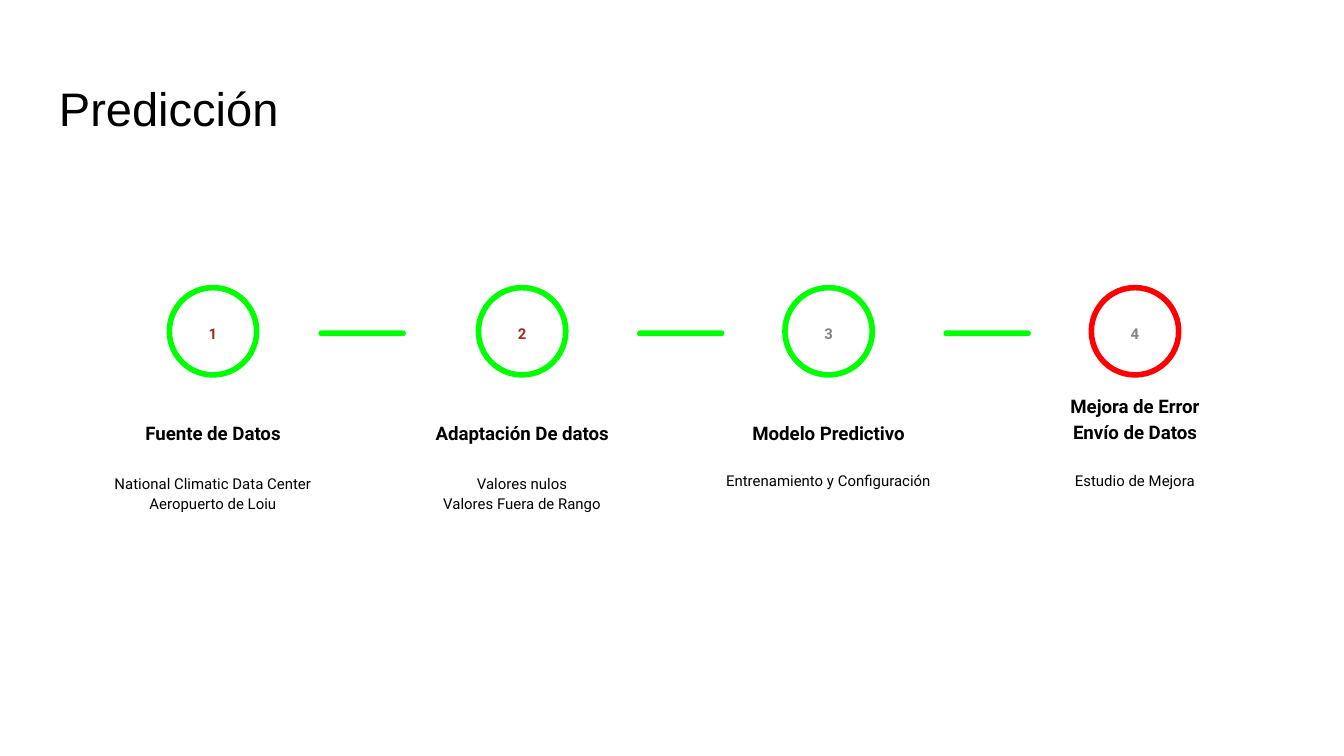
from dataclasses import dataclass

from pptx import Presentation
from pptx.dml.color import RGBColor
from pptx.enum.shapes import MSO_SHAPE as Preset
from pptx.enum.text import MSO_ANCHOR as Anchor, PP_ALIGN as Align
from pptx.util import Pt


@dataclass(frozen=True)
class Theme:
    ink: str = "000000"
    done: str = "00FF00"
    pending: str = "FF0000"
    number_red: str = "A72A1E"
    number_grey: str = "858585"
    title_font: str = "Arial"
    step_font: str = "Roboto"
    title_size: float = 25.2
    heading_size: float = 10
    detail_size: float = 8
    inset: float = 7.2
    ring_width: float = 3


THEME = Theme()
STEP_WIDTH, STEP_TOP, STEP_HEIGHT = 134.64, 154.1, 149.8
RING_SIZE = 46.8
BAR_WIDTH, BAR_HEIGHT, BAR_TOP = 46.8, 3.1, 177

# left edge, ring colour, number colour, heading lines, detail lines
STEPS = [
    (46.8, THEME.done, THEME.number_red, ["Fuente de Datos"],
     ["National Climatic Data Center", "Aeropuerto de Loiu"]),
    (212.4, THEME.done, THEME.number_red, ["Adaptación De datos"],
     ["Valores nulos", "Valores Fuera de Rango"]),
    (376.56, THEME.done, THEME.number_grey, ["Modelo Predictivo"],
     ["Entrenamiento y Configuración"]),
    (540.72, THEME.pending, THEME.number_grey, ["Mejora de Error", "Envío de Datos"],
     ["Estudio de Mejora"]),
]
BAR_LEFTS = [170.64, 341.28, 505.44]


def add_text(shapes, box, lines, size, color=THEME.ink, font=THEME.step_font,
             bold=False, align=Align.CENTER, anchor=Anchor.TOP, spacing=1.15, after=0):
    """Add one paragraph whose lines are parted by line breaks."""
    frame = shapes.add_textbox(*map(Pt, box)).text_frame
    frame.word_wrap = True
    frame.vertical_anchor = anchor
    frame.margin_left = frame.margin_right = Pt(THEME.inset)
    frame.margin_top = frame.margin_bottom = Pt(THEME.inset)
    paragraph = frame.paragraphs[0]
    paragraph.alignment = align
    paragraph.line_spacing = spacing
    paragraph.space_after = Pt(after)
    for index, line in enumerate(lines):
        if index:
            paragraph.add_line_break()
        run = paragraph.add_run()
        run.text = line
        run.font.name = font
        run.font.size = Pt(size)
        run.font.bold = bold
        run.font.color.rgb = RGBColor.from_string(color)


def add_title(slide, box):
    add_text(slide.shapes, box, ["Predicción"], THEME.title_size,
             font=THEME.title_font, align=Align.LEFT, spacing=1)


def add_step(slide, box, number, ring_color, number_color, heading, details):
    """Group a numbered ring with its heading and details, centred in the box."""
    left, top, width, height = box
    parts = slide.shapes.add_group_shape().shapes
    center = left + width / 2
    heading_top, details_top = top + 55.4, top + 91.4

    ring = parts.add_shape(Preset.OVAL, Pt(center - RING_SIZE / 2), Pt(top),
                           Pt(RING_SIZE), Pt(RING_SIZE))
    ring.shadow.inherit = False
    ring.fill.background()
    ring.line.color.rgb = RGBColor.from_string(ring_color)
    ring.line.width = Pt(THEME.ring_width)

    add_text(parts, (center - 17.3, top + 12.9, 34.6, 25.2), [str(number)],
             THEME.detail_size, number_color, bold=True, after=16)
    add_text(parts, (left, heading_top, width, 35.3), heading,
             THEME.heading_size, bold=True, anchor=Anchor.BOTTOM)
    add_text(parts, (left, details_top, width, top + height - details_top), details,
             THEME.detail_size, after=16)


def add_bar(slide, box):
    bar = slide.shapes.add_shape(Preset.ROUNDED_RECTANGLE, *map(Pt, box))
    bar.adjustments[0] = 0.5
    bar.shadow.inherit = False
    bar.fill.solid()
    bar.fill.fore_color.rgb = RGBColor.from_string(THEME.done)
    bar.line.fill.background()


def main():
    deck = Presentation()
    deck.slide_width, deck.slide_height = Pt(720), Pt(405)
    slide = deck.slides.add_slide(deck.slide_layouts[6])
    add_title(slide, (24.5, 35.3, 671, 45.4))
    for number, (left, *content) in enumerate(STEPS, start=1):
        add_step(slide, (left, STEP_TOP, STEP_WIDTH, STEP_HEIGHT), number, *content)
    for left in BAR_LEFTS:
        add_bar(slide, (left, BAR_TOP, BAR_WIDTH, BAR_HEIGHT))
    deck.save("out.pptx")


if __name__ == "__main__":
    main()
